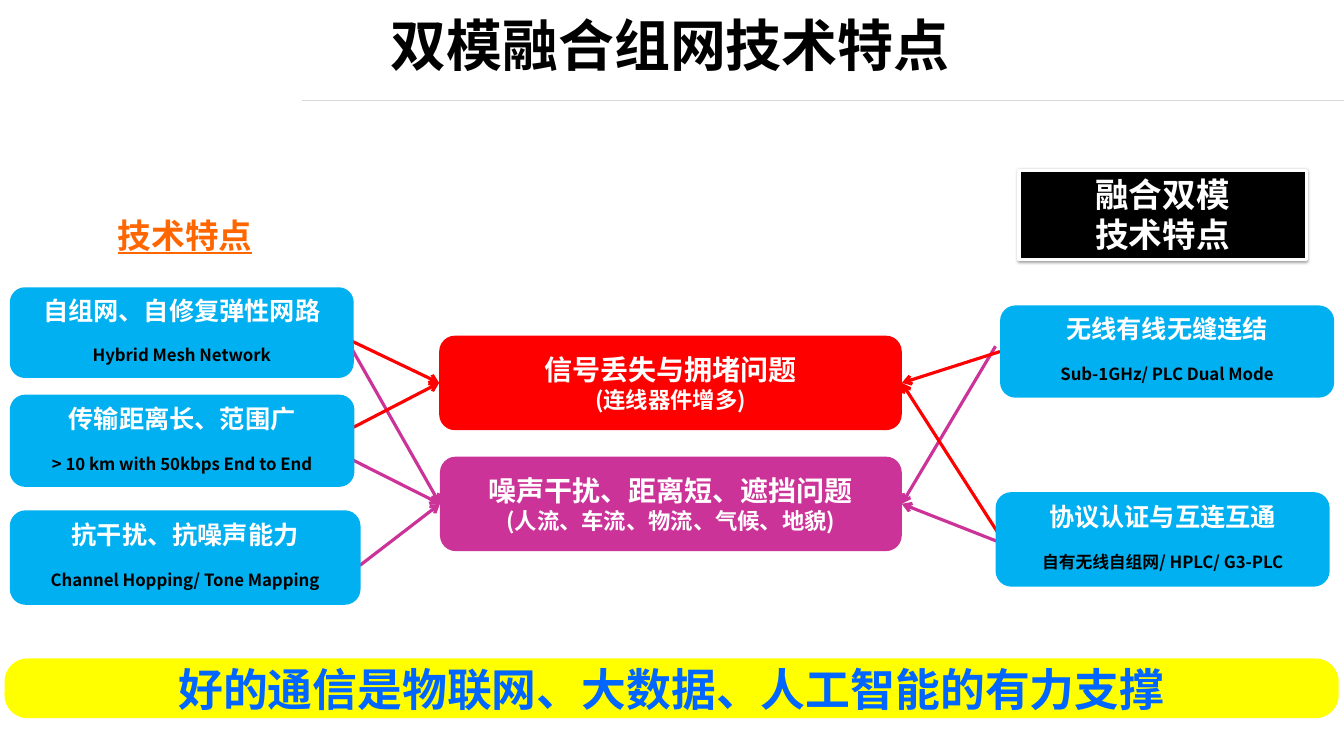
from lxml import etree
from pptx import Presentation, util as u
from pptx.dml.color import RGBColor
from pptx.enum import shapes as sh, text as tx
from pptx.oxml.ns import qn

WIDE, HIGH = 17.78, 10
FONT = "Noto Sans CJK SC"
COLORS = {
    "black": "000000", "white": "FFFFFF", "gray": "D9D9D9", "red": "FF0000",
    "plum": "CC3399", "sky": "00B0F0", "gold": "FFFF00", "blue": "0066FF",
    "orange": "FF6600",
}

# Content: box = left, top, width, height in inches
TITLE = "双模融合组网技术特点"
SLOGAN = "好的通信是物联网、大数据、人工智能的有力支撑"
TRAITS = {
    "mesh": ("自组网、自修复弹性网路", "Hybrid Mesh Network", (0.13, 3.8, 4.55, 1.2)),
    "range": ("传输距离长、范围广", "> 10 km with 50kbps End to End", (0.13, 5.22, 4.56, 1.22)),
    "noise": ("抗干扰、抗噪声能力", "Channel Hopping/ Tone Mapping", (0.13, 6.75, 4.64, 1.25)),
    "dual": ("无线有线无缝连结", "Sub-1GHz/ PLC Dual Mode", (13.23, 4.04, 4.42, 1.22)),
    "pact": ("协议认证与互连互通", "自有无线自组网/ HPLC/ G3-PLC", (13.17, 6.51, 4.42, 1.25)),
}
ISSUES = {
    "red": ("信号丢失与拥堵问题", "(连线器件增多)", (5.81, 4.44, 6.12, 1.25)),
    "plum": ("噪声干扰、距离短、遮挡问题", "(人流、车流、物流、气候、地貌)", (5.82, 6.04, 6.11, 1.25)),
}
# Arrows: issue, start point; each ends at the near side of its issue
ARROWS = [
    ("plum", 4.76, 7.48), ("plum", 4.59, 4.5), ("plum", 4.38, 5.94),
    ("plum", 13.17, 4.58), ("plum", 13.19, 7.16),
    ("red", 13.23, 4.65), ("red", 4.42, 4.4), ("red", 4.68, 5.65), ("red", 13.21, 7.06),
]

deck = Presentation()
deck.slide_width, deck.slide_height = u.Inches(WIDE), u.Inches(HIGH)
slide = deck.slides.add_slide(deck.slide_layouts[5])


def shade(name):
    return RGBColor.from_string(COLORS[name])


def inches(box):
    return [u.Inches(side) for side in box]


def write(frame, lines, inset=None, anchor=tx.MSO_ANCHOR.MIDDLE):
    """Each line is its text and a dict with size, color, space, under."""
    frame.word_wrap = True
    frame.vertical_anchor = anchor
    if inset is not None:
        frame.margin_left = frame.margin_right = u.Inches(inset)
        frame.margin_top = frame.margin_bottom = u.Inches(inset)
    for i, (words, form) in enumerate(lines):
        para = frame.add_paragraph() if i else frame.paragraphs[0]
        para.alignment = tx.PP_ALIGN.CENTER
        if "space" in form:
            para.line_spacing = form["space"]
        run = para.add_run()
        run.text = words
        font = run.font
        font.name, font.size, font.bold = FONT, u.Pt(form["size"]), True
        font.color.rgb = shade(form["color"])
        if form.get("under"):
            font.underline = True
        east = etree.SubElement(font._element, qn("a:ea"))
        east.set("typeface", FONT)


def block(box, fill, lines, kind=sh.MSO_SHAPE.ROUNDED_RECTANGLE, **form):
    shape = slide.shapes.add_shape(kind, *inches(box))
    shape.shadow.inherit = False
    shape.fill.solid()
    shape.fill.fore_color.rgb = shade(fill)
    shape.line.fill.background()
    write(shape.text_frame, lines, **form)
    return shape


def link(start, end, color, width, arrow=False):
    line = slide.shapes.add_connector(
        sh.MSO_CONNECTOR.STRAIGHT, *inches(start + end))
    line.line.color.rgb = shade(color)
    line.line.width = u.Pt(width)
    if arrow:
        tip = etree.SubElement(line.line._get_or_add_ln(), qn("a:tailEnd"))
        tip.set("type", "arrow")
    etree.SubElement(line._element.spPr, qn("a:effectLst"))


# Title and rule
title = slide.shapes.title
title.left, title.top, title.width, title.height = inches((0, 0.09, 17.73, 1.29))
write(title.text_frame,
      [(TITLE, dict(size=53.3, color="black", space=u.Pt(42.7)))], inset=0.06)
link((4, 1.33), (WIDE, 1.33), "gray", 0.75)

# Arrows, under the boxes
for issue, x, y in ARROWS:
    left, top, width, height = ISSUES[issue][2]
    edge = left if x < left else left + width
    link((x, y), (edge, top + height / 2), issue, 3, arrow=True)

# Issues in the middle
for color, (head, note, box) in ISSUES.items():
    block(box, color, [(head, dict(size=26.7, color="white")),
                       (note, dict(size=21.3, color="white"))])

# Traits on both sides
for head, note, box in TRAITS.values():
    block(box, "sky", [(head, dict(size=24, color="white", space=u.Pt(24))),
                       (note, dict(size=16, color="black", space=2.0))])

# Slogan bar
bar = block((0.06, 8.71, 17.65, 0.79), "gold",
            [(SLOGAN, dict(size=42.7, color="blue"))])
bar.adjustments[0] = 0.388

# Side headings
label = dict(size=32, color="white")
sign = block((13.48, 2.25, 3.8, 1.18), "black",
             [("融合双模", label), ("技术特点", label)],
             kind=sh.MSO_SHAPE.RECTANGLE, anchor=tx.MSO_ANCHOR.TOP)
sign.line.color.rgb = shade("white")
sign.line.width = u.Pt(3)
glow = etree.SubElement(
    sign._element.spPr.find(qn("a:effectLst")), qn("a:outerShdw"),
    blurRad=str(u.Pt(3.1)), dist=str(u.Pt(1.6)), dir="5400000", rotWithShape="0")
tint = etree.SubElement(glow, qn("a:srgbClr"), val=COLORS["black"])
etree.SubElement(tint, qn("a:alpha"), val="38000")

head = slide.shapes.add_textbox(*inches((0.55, 2.79, 3.8, 0.64)))
write(head.text_frame, [("技术特点", dict(size=32, color="orange", under=True))],
      anchor=tx.MSO_ANCHOR.TOP)

deck.save("out.pptx")
